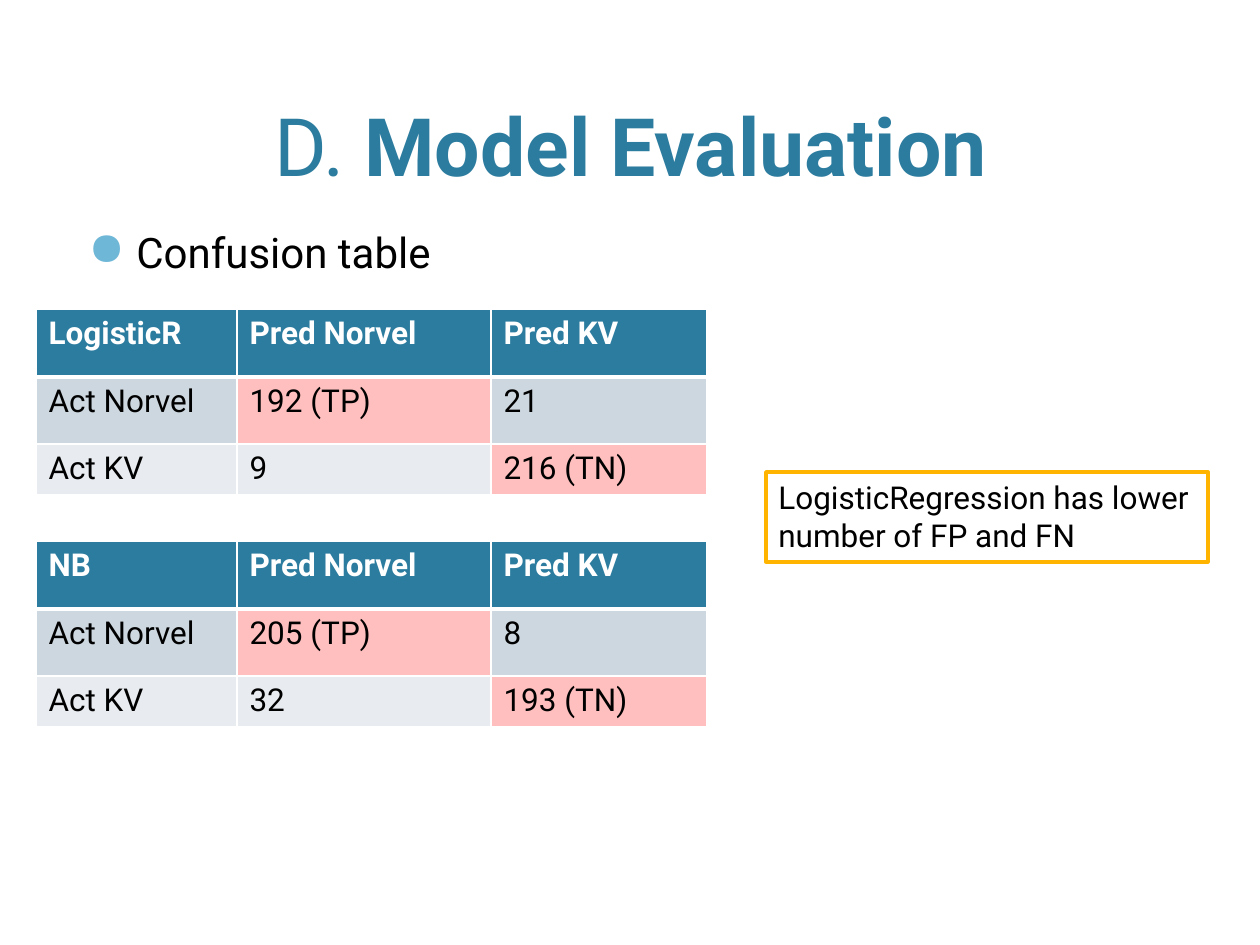
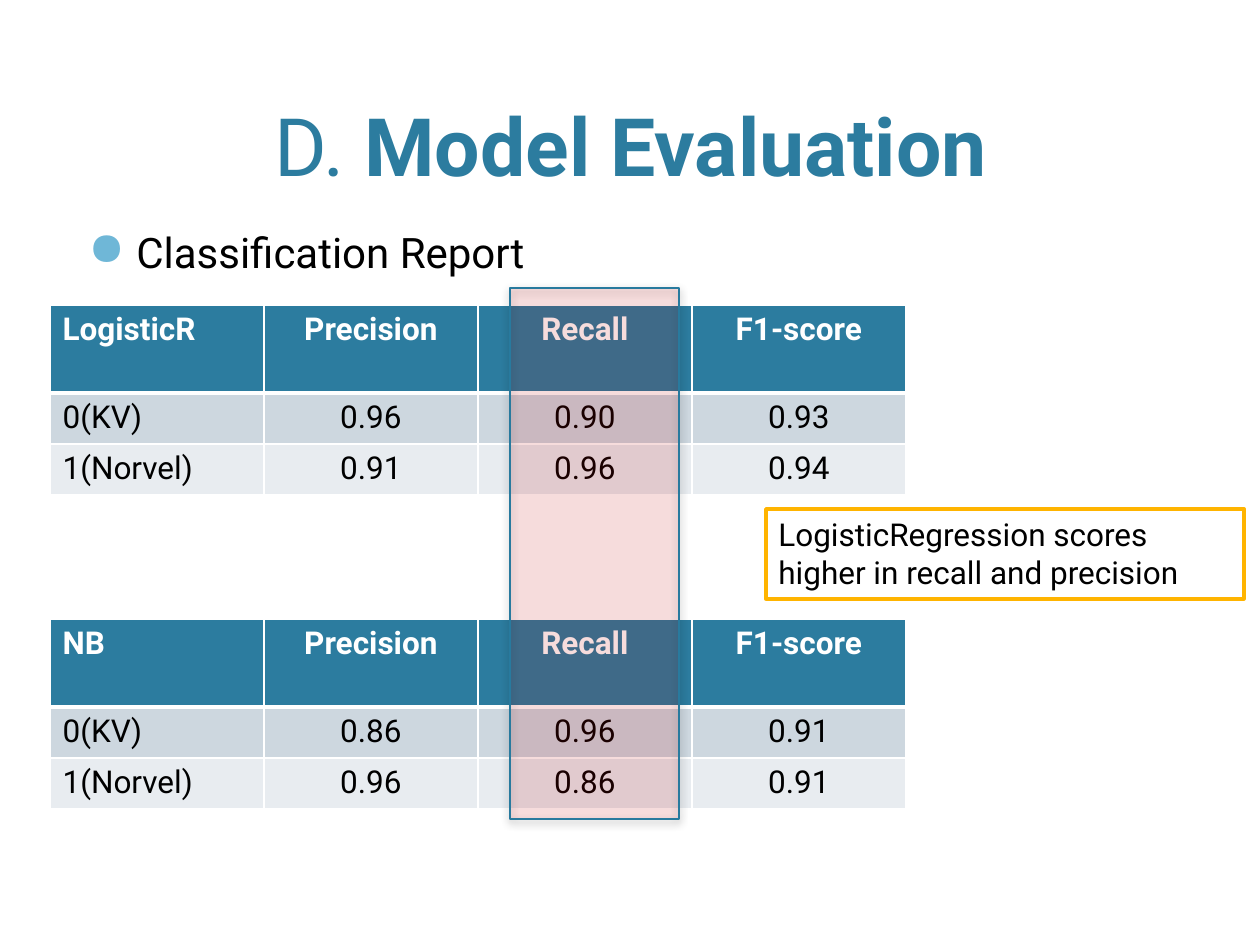
from collections import namedtuple

from lxml.etree import SubElement
from pptx import Presentation
from pptx.dml.color import RGBColor
from pptx.enum.shapes import MSO_SHAPE as Preset
from pptx.enum.text import MSO_ANCHOR as Anchor, PP_ALIGN as Align
from pptx.oxml.ns import qn
from pptx.util import Pt

EMU_PER_PX = 914400 / 126
FONT = "Roboto"
COLOURS = {
    "page": "FFFFFF",
    "text": "000000",
    "header": "2C7C9F",
    "bullet": "6FB7D7",
    "band_dark": "CDD7DF",
    "band_light": "E8ECF0",
    "correct": "FFBFBF",
    "callout": "FFB400",
    "highlight": "FF0000",
    "highlight_line": "287A9E",
}

Box = namedtuple("Box", "left top width height")
TITLE_BOX = Box(76, 15, 1109, 184)
BODY_BOX = Box(76, 220, 1109, 598)

CONFUSION_HEADINGS = ["Pred Norvel", "Pred KV"]
CONFUSION_TABLES = [
    (309, [["LogisticR", *CONFUSION_HEADINGS],
           ["Act Norvel", "192 (TP)", "21"],
           ["Act KV", "9", "216 (TN)"]]),
    (541, [["NB", *CONFUSION_HEADINGS],
           ["Act Norvel", "205 (TP)", "8"],
           ["Act KV", "32", "193 (TN)"]]),
]
REPORT_HEADINGS = ["Precision", "Recall", "F1-score"]
REPORT_TABLES = [
    (305, [["LogisticR", *REPORT_HEADINGS],
           ["0(KV)", "0.96", "0.90", "0.93"],
           ["1(Norvel)", "0.91", "0.96", "0.94"]]),
    (619, [["NB", *REPORT_HEADINGS],
           ["0(KV)", "0.86", "0.96", "0.91"],
           ["1(Norvel)", "0.96", "0.86", "0.91"]]),
]


def px(length):
    return round(length * EMU_PER_PX)


def place(box):
    return [px(length) for length in box]


def colour(name):
    return RGBColor.from_string(COLOURS[name])


def style(font, size, colour_name, bold=False):
    font.name = FONT
    font.size = Pt(size)
    font.bold = bold
    font.color.rgb = colour(colour_name)


def add_solid(parent, colour_name, opacity=None):
    solid = SubElement(parent, qn("a:solidFill"))
    return add_colour(solid, colour_name, opacity)


def add_colour(parent, colour_name, opacity=None):
    value = SubElement(parent, qn("a:srgbClr"), val=COLOURS[colour_name])
    if opacity is not None:
        SubElement(value, qn("a:alpha"), val=str(opacity * 1000))


def add_text_box(slide, box):
    shape = slide.shapes.add_textbox(*place(box))
    shape.text_frame.word_wrap = True
    return shape


def add_title(slide, box):
    frame = add_text_box(slide, box).text_frame
    frame.vertical_anchor = Anchor.BOTTOM
    paragraph = frame.paragraphs[0]
    paragraph.alignment = Align.CENTER
    for text, bold in [("D. ", False), ("Model Evaluation", True)]:
        run = paragraph.add_run()
        run.text = text
        style(run.font, 46, "header", bold)


def add_bullet(slide, box, text):
    paragraph = add_text_box(slide, box).text_frame.paragraphs[0]
    paragraph.text = text
    style(paragraph.font, 24, "text")
    properties = paragraph._p.get_or_add_pPr()
    properties.set("marL", str(px(48)))
    properties.set("indent", str(-px(48)))
    defaults = properties.find(qn("a:defRPr"))
    bullet_colour = SubElement(properties, qn("a:buClr"))
    add_colour(bullet_colour, "bullet")
    SubElement(properties, qn("a:buSzPct"), val="110000")
    SubElement(properties, qn("a:buChar"), char="●")
    if defaults is not None:
        properties.append(defaults)


def add_callout(slide, box, text):
    shape = add_text_box(slide, box)
    shape.fill.solid()
    shape.fill.fore_color.rgb = colour("page")
    shape.line.color.rgb = colour("callout")
    shape.line.width = Pt(2)
    paragraph = shape.text_frame.paragraphs[0]
    paragraph.text = text
    style(paragraph.font, 18, "text")


def set_borders(cell, row):
    properties = cell._tc.get_or_add_tcPr()
    widths = {"L": 1, "R": 1, "T": 3 if row == 1 else 1, "B": 3 if row == 0 else 1}
    for side, width in widths.items():
        line = SubElement(properties, qn(f"a:ln{side}"), w=str(Pt(width)))
        add_solid(line, "page")


def add_score_table(slide, left, top, widths, heights, rows, centred=False, mark_correct=False):
    box = Box(left, top, sum(widths), sum(heights))
    table = slide.shapes.add_table(len(rows), len(widths), *place(box)).table
    table.first_row = table.horz_banding = False
    for column, width in zip(table.columns, widths):
        column.width = px(width)
    for table_row, height in zip(table.rows, heights):
        table_row.height = px(height)
    for row, texts in enumerate(rows):
        for column, text in enumerate(texts):
            cell = table.cell(row, column)
            set_borders(cell, row)
            fill = ["header", "band_dark", "band_light"][row]
            if mark_correct and row == column and row > 0:
                fill = "correct"
            cell.fill.solid()
            cell.fill.fore_color.rgb = colour(fill)
            paragraph = cell.text_frame.paragraphs[0]
            paragraph.text = text
            if centred and column > 0:
                paragraph.alignment = Align.CENTER
            style(paragraph.font, 18, "page" if row == 0 else "text", row == 0)


def add_highlight(slide, box):
    shape = slide.shapes.add_shape(Preset.RECTANGLE, *place(box))
    shape.shadow.inherit = False
    shape.fill.solid()
    shape.fill.fore_color.rgb = colour("highlight")
    shape.line.color.rgb = colour("highlight_line")
    shape.line.width = Pt(1)
    properties = shape._element.spPr
    fill_colour = properties.find(qn("a:solidFill")).find(qn("a:srgbClr"))
    SubElement(fill_colour, qn("a:alpha"), val="10000")
    shadow = SubElement(properties.find(qn("a:effectLst")), qn("a:outerShdw"),
                        blurRad=str(Pt(5)), dist=str(Pt(2)), dir="5400000", rotWithShape="0")
    add_colour(shadow, "text", 40)


def add_evaluation_slide(presentation, topic):
    slide = presentation.slides.add_slide(presentation.slide_layouts[6])
    add_title(slide, TITLE_BOX)
    add_bullet(slide, BODY_BOX, topic)
    return slide


def add_confusion_slide(presentation):
    slide = add_evaluation_slide(presentation, "Confusion table")
    for top, rows in CONFUSION_TABLES:
        add_score_table(slide, 36, top, [201, 254, 216], [68, 67, 49], rows, mark_correct=True)
    add_callout(slide, Box(766, 472, 442, 90), "LogisticRegression has lower number of FP and FN")


def add_report_slide(presentation):
    slide = add_evaluation_slide(presentation, "Classification Report")
    add_callout(slide, Box(766, 509, 478, 90),
                "LogisticRegression scores higher in recall and precision")
    for top, rows in REPORT_TABLES:
        add_score_table(slide, 50, top, [214] * 4, [88, 51, 50], rows, centred=True)
    add_highlight(slide, Box(510, 288, 169, 531))


def main():
    presentation = Presentation()
    presentation.slide_width = px(1260)
    presentation.slide_height = px(945)
    add_confusion_slide(presentation)
    add_report_slide(presentation)
    presentation.save("out.pptx")


if __name__ == "__main__":
    main()
